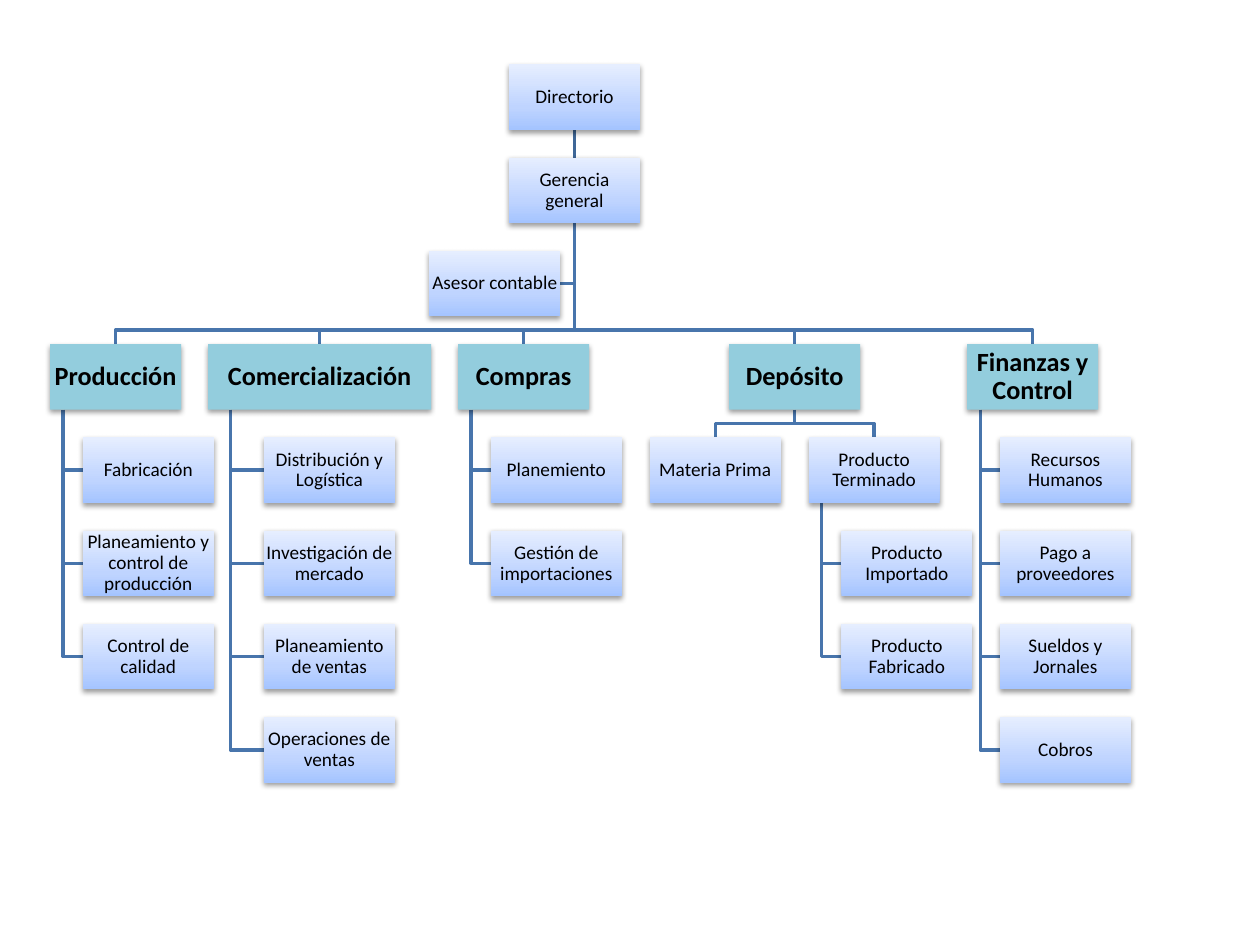
"""Build a one-page company organisation chart."""
import copy
import dataclasses

import lxml.etree
import pptx
import pptx.dml.color
import pptx.enum.shapes
import pptx.enum.text
import pptx.oxml
import pptx.oxml.ns
import pptx.util

Pt = pptx.util.Pt
TOP, STEP = 36.8, 53.28
WIDTH, HEIGHT = 74.9, 37.5
HALF_GAP = (STEP - HEIGHT) / 2


@dataclasses.dataclass
class Theme:
    """Colours, font and type sizes of the chart."""
    font: str = "Calibri"
    ink: str = "000000"
    department: str = "93CDDD"
    gradient: tuple = ((0, "A4C4FF"), (0.35, "BFD4FF"), (1, "E6EEFF"))
    link: str = "4875AC"
    top_link: str = "3F6797"
    link_width: float = 2
    department_size: int = 15
    unit_size: int = 11


@dataclasses.dataclass
class Unit:
    """One box of the chart, with the units listed below it."""
    label: str
    left: float
    row: int
    width: float = WIDTH
    department: bool = False
    staff: tuple = ()

    @property
    def top(self):
        return TOP + STEP * self.row

    @property
    def bottom(self):
        return self.top + HEIGHT

    @property
    def center(self):
        return self.left + self.width / 2

    @property
    def middle(self):
        return self.top + HEIGHT / 2

    @property
    def trunk(self):
        return self.left + self.width * 0.1

    def members(self):
        left = self.left + self.width * 0.25
        return [Unit(label, left, self.row + number)
                for number, label in enumerate(self.staff, 1)]


class ChartPage:
    """Draws chart elements on one page in one style."""

    def __init__(self, page, theme):
        self.page = page
        self.theme = theme

    def color(self, value):
        return pptx.dml.color.RGBColor.from_string(value)

    def style_line(self, line, color):
        line.color.rgb = self.color(color)
        line.width = Pt(self.theme.link_width)

    def straight(self, start, end):
        link = self.page.shapes.add_connector(
            pptx.enum.shapes.MSO_CONNECTOR.STRAIGHT,
            *(Pt(value) for value in (*start, *end)))
        self.style_line(link.line, self.theme.top_link)
        lxml.etree.SubElement(link._element.spPr, pptx.oxml.ns.qn("a:effectLst"))

    def elbow(self, *points):
        start, *rest = [(Pt(x), Pt(y)) for x, y in points]
        builder = self.page.shapes.build_freeform(*start)
        builder.add_line_segments(rest, close=False)
        link = builder.convert_to_shape()
        link.fill.background()
        link.shadow.inherit = False
        self.style_line(link.line, self.theme.link)

    def drop(self, parent, child):
        turn = child.top - HALF_GAP
        self.elbow((parent.center, parent.bottom), (parent.center, turn),
                   (child.center, turn), (child.center, child.top))

    def hang(self, parent, child):
        self.elbow((parent.trunk, parent.bottom), (parent.trunk, child.middle),
                   (child.left, child.middle))

    def paint_gradient(self, fill):
        fill.gradient()
        fill.gradient_angle = 90
        first = fill.gradient_stops[0]._gs
        first.addnext(copy.deepcopy(first))
        for stop, (position, color) in zip(fill.gradient_stops, self.theme.gradient):
            stop.position = position
            stop.color.rgb = self.color(color)

    def cast_shadow(self, box):
        box.shadow.inherit = False
        effects = box._element.spPr.find(pptx.oxml.ns.qn("a:effectLst"))
        effects.append(pptx.oxml.parse_xml(
            f'<a:outerShdw {pptx.oxml.ns.nsdecls("a")} blurRad="{Pt(3.1)}" '
            f'dist="{Pt(1.6)}" dir="5400000" rotWithShape="0">'
            '<a:srgbClr val="000000"><a:alpha val="38000"/></a:srgbClr>'
            '</a:outerShdw>'))

    def box(self, unit):
        box = self.page.shapes.add_shape(
            pptx.enum.shapes.MSO_SHAPE.RECTANGLE,
            Pt(unit.left), Pt(unit.top), Pt(unit.width), Pt(HEIGHT))
        if unit.department:
            box.fill.solid()
            box.fill.fore_color.rgb = self.color(self.theme.department)
        else:
            self.paint_gradient(box.fill)
        box.line.fill.background()
        self.cast_shadow(box)
        self.label(box.text_frame, unit)

    def label(self, frame, unit):
        frame.word_wrap = True
        frame.vertical_anchor = pptx.enum.text.MSO_ANCHOR.MIDDLE
        frame.margin_left = frame.margin_right = Pt(0.7)
        frame.margin_top = frame.margin_bottom = Pt(0.7)
        frame.text = unit.label
        para = frame.paragraphs[0]
        para.alignment = pptx.enum.text.PP_ALIGN.CENTER
        para.line_spacing = 0.9
        theme = self.theme
        for span in para.runs:
            span.font.name = theme.font
            span.font.size = Pt(theme.department_size if unit.department
                                else theme.unit_size)
            span.font.bold = unit.department
            span.font.color.rgb = self.color(theme.ink)


def main():
    deck = pptx.Presentation()
    deck.slide_width, deck.slide_height = Pt(720), Pt(540)
    chart = ChartPage(deck.slides.add_slide(deck.slide_layouts[6]), Theme())

    board = Unit("Directorio", 290.9, 0)
    manager = Unit("Gerencia general", 290.9, 1)
    adviser = Unit("Asesor contable", 245.3, 2)
    storage = Unit("Depósito", 416.7, 3, department=True)
    departments = [
        Unit("Producción", 28.6, 3, department=True, staff=(
            "Fabricación", "Planeamiento y control de producción",
            "Control de calidad")),
        Unit("Comercialización", 118.9, 3, 127.5, True, (
            "Distribución y Logística", "Investigación de mercado",
            "Planeamiento de ventas", "Operaciones de ventas")),
        Unit("Compras", 261.8, 3, department=True, staff=(
            "Planemiento", "Gestión de importaciones")),
        storage,
        Unit("Finanzas y Control", 552.7, 3, department=True, staff=(
            "Recursos Humanos", "Pago a proveedores", "Sueldos y Jornales",
            "Cobros")),
    ]
    stocks = [
        Unit("Materia Prima", 371.3, 4),
        Unit("Producto Terminado", 462.1, 4, staff=(
            "Producto Importado", "Producto Fabricado")),
    ]

    chart.straight((board.center, board.bottom), (manager.center, manager.top))
    chart.elbow((manager.center, manager.bottom), (manager.center, adviser.middle),
                (adviser.left + adviser.width, adviser.middle))
    for department in departments:
        chart.drop(manager, department)
    for stock in stocks:
        chart.drop(storage, stock)

    units = [board, manager, adviser, *departments, *stocks]
    pairs = [(unit, member) for unit in units for member in unit.members()]
    for unit, member in pairs:
        chart.hang(unit, member)
    for unit in units + [member for _, member in pairs]:
        chart.box(unit)
    deck.save("out.pptx")


if __name__ == "__main__":
    main()
